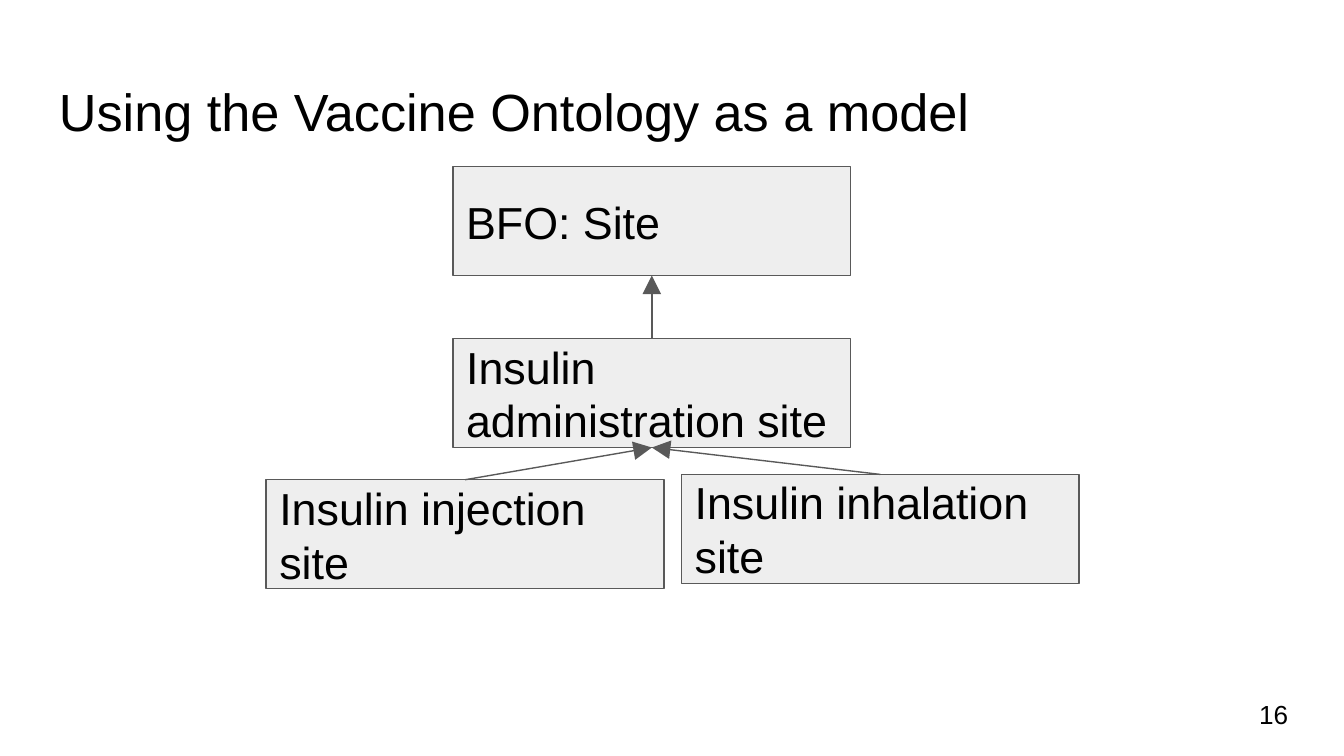
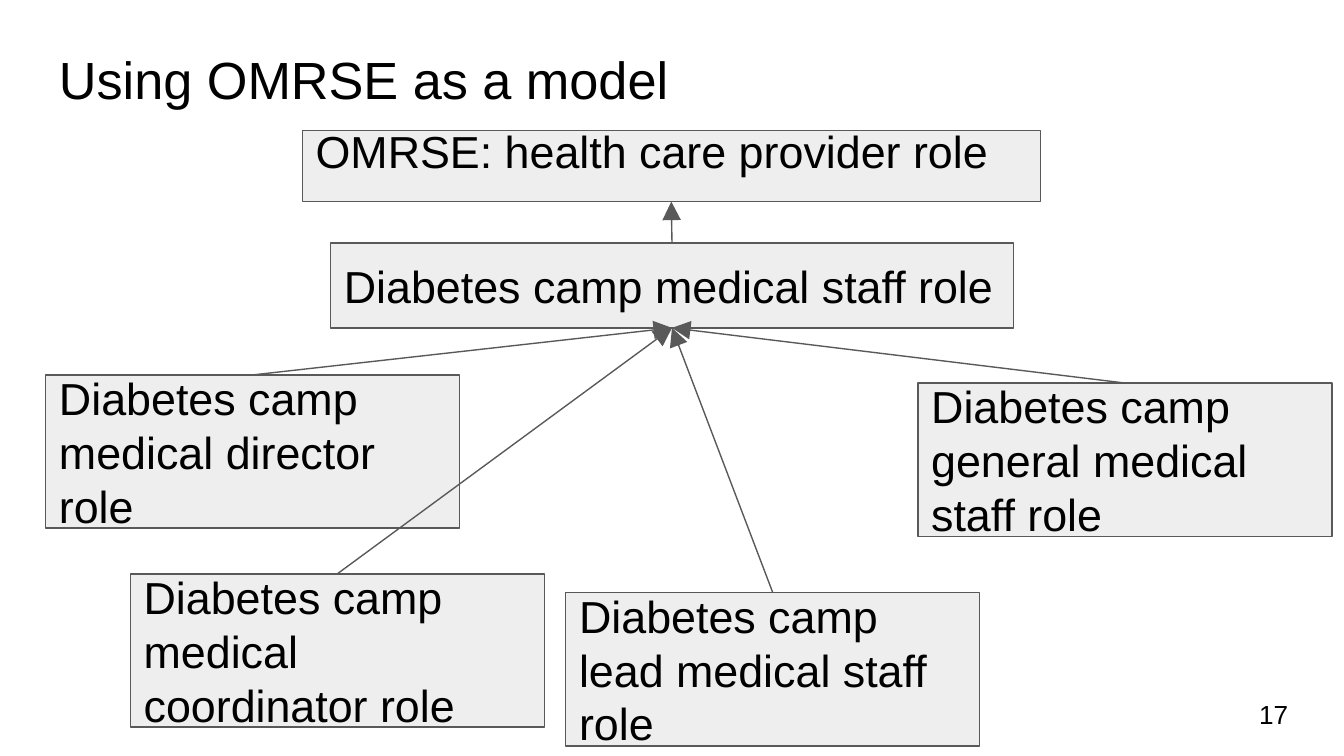
"""Build two slides that show class hierarchies for diabetes ontologies."""
from dataclasses import dataclass

from lxml.etree import SubElement
from pptx import Presentation
from pptx.dml.color import RGBColor
from pptx.enum.shapes import MSO_CONNECTOR, MSO_SHAPE
from pptx.enum.text import MSO_ANCHOR, PP_ALIGN
from pptx.oxml.ns import qn
from pptx.util import Inches, Pt


@dataclass(frozen=True)
class Theme:
    font: str = "Arial"
    ink: RGBColor = RGBColor(0x00, 0x00, 0x00)
    box: RGBColor = RGBColor(0xEE, 0xEE, 0xEE)
    edge: RGBColor = RGBColor(0x59, 0x59, 0x59)
    edge_width: float = 0.75
    title_size: int = 28
    class_size: int = 24
    page_size: int = 14
    inset: float = 0.1


THEME = Theme()


def write(shape, text, size, anchor=MSO_ANCHOR.MIDDLE, bottom=THEME.inset):
    frame = shape.text_frame
    frame.word_wrap = True
    frame.vertical_anchor = anchor
    frame.margin_left = frame.margin_right = frame.margin_top = Inches(THEME.inset)
    frame.margin_bottom = Inches(bottom)
    paragraph = frame.paragraphs[0]
    paragraph.alignment = PP_ALIGN.LEFT
    run = paragraph.add_run()
    run.text = text
    run.font.name = THEME.font
    run.font.size = Pt(size)
    run.font.color.rgb = THEME.ink


def draw_arrow(slide, child, parent):
    arrow = slide.shapes.add_connector(MSO_CONNECTOR.STRAIGHT, 0, 0, 0, 0)
    arrow.begin_connect(child, 0)
    arrow.end_connect(parent, 2)
    arrow.line.color.rgb = THEME.edge
    arrow.line.width = Pt(THEME.edge_width)
    properties = arrow._element.spPr
    SubElement(properties.find(qn("a:ln")), qn("a:tailEnd"),
               type="triangle", w="lg", len="lg")
    SubElement(properties, qn("a:effectLst"))


PROCESS = MSO_SHAPE.FLOWCHART_PROCESS
SITE_SIZE = (2.96, 0.81)
ROLE_SIZE = (3.08, 1.14)

hierarchies = [
    {
        "title": "Using the Vaccine Ontology as a model",
        "title_top": 0.49,
        "root": ("BFO: Site", 3.37, 1.24, *SITE_SIZE, PROCESS, THEME.inset),
        "middle": ("Insulin administration site", 3.37, 2.52, *SITE_SIZE),
        "leaf_size": SITE_SIZE,
        "leaves": [
            ("Insulin injection site", 1.98, 3.57),
            ("Insulin inhalation site", 5.07, 3.53),
        ],
    },
    {
        "title": "Using OMRSE as a model",
        "title_top": 0.25,
        "root": ("OMRSE: health care provider role", 2.25, 0.97, 5.49, 0.53,
                 MSO_SHAPE.RECTANGLE, 0.33),
        "middle": ("Diabetes camp medical staff role", 2.46, 1.81, 5.08, 0.63),
        "leaf_size": ROLE_SIZE,
        "leaves": [
            ("Diabetes camp medical director role", 0.34, 2.79),
            ("Diabetes camp medical coordinator role", 0.97, 4.27),
            ("Diabetes camp lead medical staff role", 4.21, 4.41),
            ("Diabetes camp general medical staff role", 6.83, 2.85),
        ],
    },
]

deck = Presentation()
deck.slide_width = Inches(10)
deck.slide_height = Inches(10 * 9 / 16)

for page, hierarchy in enumerate(hierarchies, start=16):
    slide = deck.slides.add_slide(deck.slide_layouts[6])

    entries = [hierarchy["root"], (*hierarchy["middle"], PROCESS, THEME.inset)]
    for label, left, top in hierarchy["leaves"]:
        entries.append((label, left, top, *hierarchy["leaf_size"], PROCESS, THEME.inset))

    classes = []
    for label, left, top, width, height, outline, bottom in entries:
        node = slide.shapes.add_shape(
            outline, Inches(left), Inches(top), Inches(width), Inches(height))
        node.shadow.inherit = False
        node.fill.solid()
        node.fill.fore_color.rgb = THEME.box
        node.line.color.rgb = THEME.edge
        node.line.width = Pt(THEME.edge_width)
        write(node, label, THEME.class_size, bottom=bottom)
        classes.append(node)

    root, middle, *leaves = classes
    draw_arrow(slide, middle, root)
    for leaf in leaves:
        draw_arrow(slide, leaf, middle)

    title = slide.shapes.add_textbox(
        Inches(0.34), Inches(hierarchy["title_top"]), Inches(9.32), Inches(0.63))
    write(title, hierarchy["title"], THEME.title_size, anchor=MSO_ANCHOR.TOP)

    page_number = slide.shapes.add_textbox(
        Inches(9.27), Inches(5.1), Inches(0.6), Inches(0.43))
    write(page_number, str(page), THEME.page_size)

deck.save("out.pptx")
